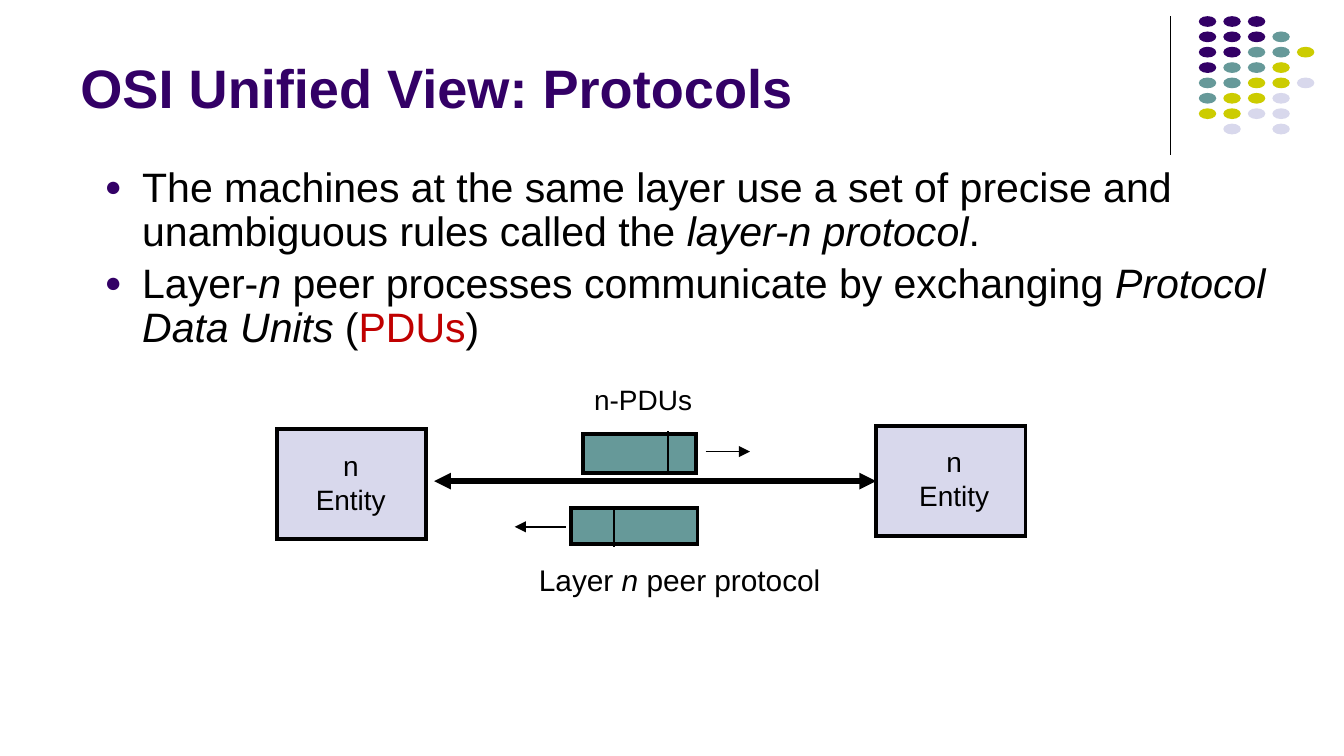
from typing import NamedTuple

from lxml import etree
from pptx import Presentation
from pptx.dml.color import RGBColor
from pptx.enum.shapes import MSO_CONNECTOR, MSO_SHAPE
from pptx.enum.text import MSO_ANCHOR, PP_ALIGN
from pptx.oxml.ns import qn
from pptx.util import Inches, Pt

RECT, OVAL = MSO_SHAPE.RECTANGLE, MSO_SHAPE.OVAL
STRAIGHT = MSO_CONNECTOR.STRAIGHT
TOP, BOTTOM = MSO_ANCHOR.TOP, MSO_ANCHOR.BOTTOM
LEFT, CENTER = PP_ALIGN.LEFT, PP_ALIGN.CENTER

FONT = "Arial"
BLACK, PURPLE, TEAL = "000000", "330066", "669999"
OLIVE, PALE, RED = "CCCC00", "D8D8EC", "C00000"

DOTS = ("PPP", "PPPT", "PPTTO", "PTTO", "TTOOL", "TOOL", "OOLL", " L L")
DOT_COLORS = {"P": PURPLE, "T": TEAL, "O": OLIVE, "L": PALE}
COL_STEP, ROW_STEP = (9.65 - 8.92) / 4, (0.92 - 0.12) / 7


class Box(NamedTuple):
    x: float
    y: float
    w: float
    h: float


class Run(NamedTuple):
    text: str
    italic: bool = False
    color: str = BLACK
    bold: bool = False


class Line(NamedTuple):
    x1: float
    y1: float
    x2: float
    y2: float
    width: float = 1
    ends: tuple = ()


class Label(NamedTuple):
    box: Box
    lines: list
    size: float
    align: PP_ALIGN = LEFT


ENTITY = [[Run("n")], [Run("Entity")]]
LABELS = [
    Label(Box(3.94, 4.14, 2.27, 0.34),
          [[Run("Layer "), Run("n ", True), Run("peer protocol")]], 16),
    Label(Box(6.76, 3.27, 0.68, 0.58), ENTITY, 15, CENTER),
    Label(Box(2.27, 3.3, 0.68, 0.58), ENTITY, 15, CENTER),
    Label(Box(4.35, 2.81, 0.89, 0.33), [[Run("n-PDUs")]], 15),
]
PDUS = [Box(4.34, 3.23, 0.84, 0.29), Box(4.25, 3.78, 0.94, 0.27)]
LINES = [
    Line(8.71, 0.12, 8.71, 1.15, 0.75),
    Line(4.97, 3.21, 4.97, 3.52),
    Line(5.25, 3.36, 5.58, 3.36, ends=("tailEnd",)),
    Line(4.57, 3.77, 4.57, 4.07),
    Line(3.83, 3.92, 4.21, 3.92, ends=("headEnd",)),
]
POINTS = [
    [Run("The machines at the same layer use a set of precise and "
         "unambiguous rules called the "),
     Run("layer-n protocol", True), Run(".")],
    [Run("Layer-"), Run("n", True),
     Run(" peer processes communicate by exchanging "),
     Run("Protocol Data Units ", True), Run("("),
     Run("PDUs", color=RED), Run(")")],
]


def rgb(code: str) -> RGBColor:
    return RGBColor.from_string(code)


def add_shape(slide, kind, box: Box, fill: str, edge: float = 0):
    shape = slide.shapes.add_shape(kind, *map(Inches, box))
    shape.shadow.inherit = False
    shape.fill.solid()
    shape.fill.fore_color.rgb = rgb(fill)
    if edge:
        shape.line.color.rgb = rgb(BLACK)
        shape.line.width = Pt(edge)
        stroke = shape._element.spPr.get_or_add_ln()
        etree.SubElement(stroke, qn("a:miter"), lim="800000")
    else:
        shape.line.fill.background()
    return shape


def add_line(slide, line: Line):
    link = slide.shapes.add_connector(STRAIGHT, *map(Inches, line[:4]))
    link.line.color.rgb = rgb(BLACK)
    link.line.width = Pt(line.width)
    props = link._element.spPr
    for end in line.ends:
        etree.SubElement(props.get_or_add_ln(), qn(f"a:{end}"), type="triangle")
    etree.SubElement(props, qn("a:effectLst"))
    return link


def add_text(slide, box: Box, lines: list, size: float, align=LEFT,
             wrap: bool = True, anchor=TOP, pad: tuple = (0.1, 0.05)):
    frame = slide.shapes.add_textbox(*map(Inches, box)).text_frame
    side, edge = map(Inches, pad)
    form = {"word_wrap": wrap, "vertical_anchor": anchor,
            "margin_left": side, "margin_right": side,
            "margin_top": edge, "margin_bottom": edge}
    for name, value in form.items():
        setattr(frame, name, value)
    for i, runs in enumerate(lines):
        para = frame.add_paragraph() if i else frame.paragraphs[0]
        para.alignment = align
        for item in runs:
            run = para.add_run()
            run.text = item.text
            look = {"name": FONT, "size": Pt(size),
                    "bold": item.bold, "italic": item.italic}
            for name, value in look.items():
                setattr(run.font, name, value)
            run.font.color.rgb = rgb(item.color)
    return frame


def add_bullets(frame):
    for i, para in enumerate(frame.paragraphs):
        para.line_spacing = 0.9
        if i:
            para.space_before = Pt(4)
        props = para._p.get_or_add_pPr()
        props.set("marL", str(Inches(0.28)))
        props.set("indent", str(Inches(-0.28)))
        tint = etree.SubElement(props, qn("a:buClr"))
        etree.SubElement(tint, qn("a:srgbClr"), val=PURPLE)
        etree.SubElement(props, qn("a:buSzPct"), val="70000")
        etree.SubElement(props, qn("a:buFont"), typeface=FONT)
        etree.SubElement(props, qn("a:buChar"), char="●")


def main():
    deck = Presentation()
    deck.slide_width = Inches(10)
    deck.slide_height = Inches(10 * 9 / 16)
    slide = deck.slides.add_slide(deck.slide_layouts[6])

    for row, marks in enumerate(DOTS):
        for col, mark in enumerate(marks):
            if mark in DOT_COLORS:
                spot = Box(8.92 + col * COL_STEP, 0.12 + row * ROW_STEP, 0.13, 0.08)
                add_shape(slide, OVAL, spot, DOT_COLORS[mark])

    title = [[Run("OSI Unified View: Protocols", color=PURPLE, bold=True)]]
    add_text(slide, Box(0.5, 0.1, 8.25, 0.84), title, 29, anchor=BOTTOM)
    add_bullets(add_text(slide, Box(0.68, 1.19, 9.09, 2.69), POINTS, 22))

    add_shape(slide, RECT, Box(2.06, 3.19, 1.11, 0.82), PALE, 2)
    peer = add_shape(slide, RECT, Box(6.52, 3.17, 1.11, 0.82), PALE, 2)
    both = Line(3.23, 3.58, 6.52, 3.58, 3, ("headEnd", "tailEnd"))
    add_line(slide, both).end_connect(peer, 1)
    for box in PDUS:
        add_shape(slide, RECT, box, TEAL, 2)
    for line in LINES:
        add_line(slide, line)
    for label in LABELS:
        add_text(slide, *label, wrap=False, pad=(0.07, 0.04))

    deck.save("out.pptx")


if __name__ == "__main__":
    main()
